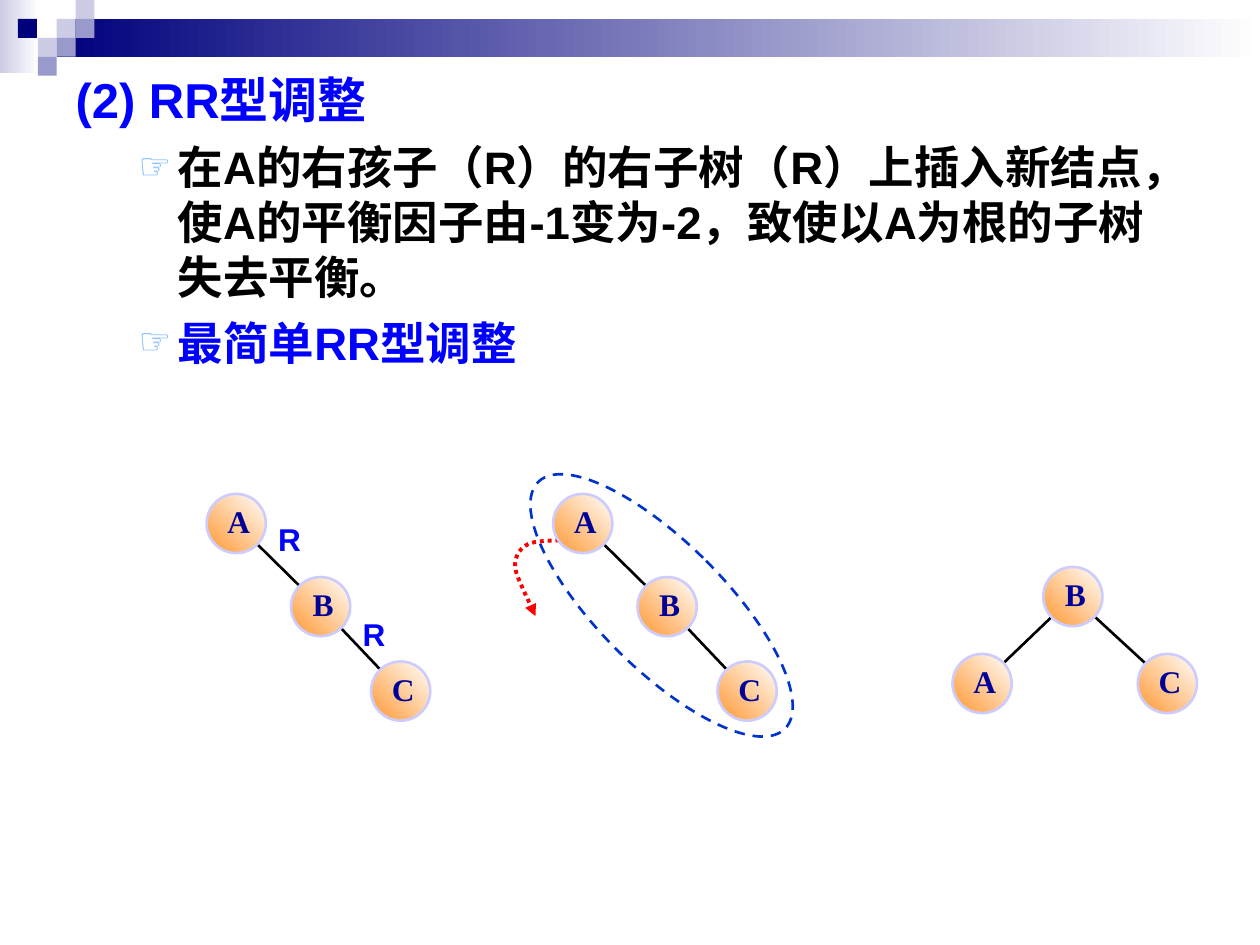
from dataclasses import dataclass
from math import hypot
from lxml.etree import SubElement as Sub
from pptx import Presentation
from pptx.dml.color import RGBColor as Rgb
from pptx.enum.dml import MSO_LINE as Dash
from pptx.enum.shapes import MSO_CONNECTOR as Link, MSO_SHAPE as Kind
from pptx.enum.text import MSO_ANCHOR as Anchor, MSO_AUTO_SIZE as Fit, PP_ALIGN as Align
from pptx.oxml.ns import qn
from pptx.util import Emu, Inches, Pt

WIDE, HIGH = Inches(10), Inches(7.5)
COLS = 100
NODE = 4.7
TILE = 1.5

NAVY = Rgb(0x00, 0x00, 0x7D)
MIST = Rgb(0xCC, 0xCC, 0xE6)
LILAC = Rgb(0x99, 0x99, 0xCC)
WHITE = Rgb(0xFF, 0xFF, 0xFF)
BLACK = Rgb(0x00, 0x00, 0x00)
BLUE = Rgb(0x00, 0x00, 0xFF)
INK = Rgb(0x00, 0x00, 0x99)
RIM = Rgb(0xCC, 0xCC, 0xFF)
PEACH = Rgb(0xFF, 0x99, 0x33)
RING = Rgb(0x00, 0x33, 0xCC)
RED = Rgb(0xFF, 0x00, 0x00)
SKY = "67AFFF"


@dataclass(frozen=True)
class Node:
    name: str
    col: float
    row: float


@dataclass(frozen=True)
class Tree:
    nodes: tuple[Node, ...]
    edges: tuple[tuple[int, int], ...]


@dataclass(frozen=True)
class Line:
    text: str
    size: int
    color: Rgb
    point: bool = True


def cell(count: float) -> Emu:
    return Emu(round(WIDE * count / COLS))


def write(para, text: str, font: str, size: int, color: Rgb) -> None:
    run = para.add_run()
    run.text = text
    run.font.name = font
    run.font.size = Pt(size)
    run.font.bold = True
    run.font.color.rgb = color


def draw(shapes, kind, col: float, row: float, wide: float, high: float):
    shape = shapes.add_shape(kind, cell(col), cell(row), cell(wide), cell(high))
    shape.shadow.inherit = False
    shape.line.fill.background()
    return shape


def blend(shape, start: Rgb, angle: int) -> None:
    shape.fill.gradient()
    shape.fill.gradient_angle = angle
    for stop, color in zip(shape.fill.gradient_stops, (start, WHITE)):
        stop.color.rgb = color


def stroke(line, color: Rgb, width: float) -> None:
    line.color.rgb = color
    line.width = Pt(width)


def add_band(shapes) -> None:
    blend(draw(shapes, Kind.RECTANGLE, 0, 0, 3.1, 5.8), MIST, 0)
    blend(draw(shapes, Kind.RECTANGLE, 3 * TILE, TILE, 95.5, 2 * TILE), NAVY, 0)
    tiles = ((3, 1, MIST), (4, 0, MIST), (4, 1, LILAC), (2, 2, MIST),
             (0.95, 1, NAVY), (3, 2, LILAC), (2, 3, LILAC))
    for col, row, color in tiles:
        tile = draw(shapes, Kind.RECTANGLE, col * TILE, row * TILE, TILE, TILE)
        tile.fill.solid()
        tile.fill.fore_color.rgb = color


def mark(para, point: bool) -> None:
    props = para._p.get_or_add_pPr()
    props.set("marL", str(Inches(0.81 if point else 0.38)))
    props.set("indent", str(Inches(-0.31 if point else -0.38)))
    if point:
        Sub(Sub(props, qn("a:buClr")), qn("a:srgbClr"), val=SKY)
        Sub(props, qn("a:buSzPct"), val="80000")
        Sub(props, qn("a:buChar"), char="☞")
    else:
        Sub(props, qn("a:buNone"))


def fill_body(body, lines: tuple[Line, ...]) -> None:
    body.left, body.top, body.width, body.height = map(cell, (5, 5, 90, 70))
    frame = body.text_frame
    frame.auto_size = Fit.NONE
    for spot, line in enumerate(lines):
        para = frame.add_paragraph() if spot else frame.paragraphs[0]
        para.level = int(line.point)
        mark(para, line.point)
        para.space_before = Pt(6.5 if spot else 0)
        write(para, line.text, "Arial", line.size, line.color)


def add_node(shapes, node: Node) -> None:
    ball = draw(shapes, Kind.OVAL, node.col - NODE / 2, node.row - NODE / 2, NODE, NODE)
    blend(ball, PEACH, 45)
    stroke(ball.line, RIM, 1.5)
    frame = ball.text_frame
    frame.word_wrap = False
    frame.vertical_anchor = Anchor.MIDDLE
    frame.margin_left, frame.margin_right = cell(1.4), cell(1)
    frame.margin_top, frame.margin_bottom = cell(0.1), cell(0.5)
    para = frame.paragraphs[0]
    para.alignment = Align.CENTER
    write(para, node.name, "Times New Roman", 18, INK)


def add_edge(shapes, start: Node, end: Node) -> None:
    run, drop = end.col - start.col, end.row - start.row
    part = NODE / 2 / hypot(run, drop)
    ends = (start.col + run * part, start.row + drop * part,
            end.col - run * part, end.row - drop * part)
    edge = shapes.add_connector(Link.STRAIGHT, *map(cell, ends))
    stroke(edge.line, BLACK, 1.5)
    Sub(edge._element.spPr, qn("a:effectLst"))


def add_tree(shapes, tree: Tree) -> None:
    for start, end in tree.edges:
        add_edge(shapes, tree.nodes[start], tree.nodes[end])
    for node in tree.nodes:
        add_node(shapes, node)


def chain(col: float, row: float) -> Tree:
    nodes = (Node("A", col, row), Node("B", col + 6.7, row + 6.6),
             Node("C", col + 13.05, row + 13.3))
    return Tree(nodes, ((0, 1), (1, 2)))


def add_label(shapes, text: str, col: float, row: float) -> None:
    box = shapes.add_textbox(cell(col), cell(row), cell(3.8), cell(4))
    box.text_frame.word_wrap = False
    box.text_frame.auto_size = Fit.SHAPE_TO_FIT_TEXT
    write(box.text_frame.paragraphs[0], text, "Arial", 18, BLUE)


def add_ring(shapes) -> None:
    ring = draw(shapes, Kind.OVAL, 47.5, 34.2, 10, 27.7)
    ring.rotation = 135
    ring.fill.background()
    stroke(ring.line, RING, 1.5)
    ring.line.dash_style = Dash.DASH


def bend(knots: tuple, steps: int = 8) -> list[tuple[Emu, Emu]]:
    dots = []
    for first in range(0, len(knots) - 1, 3):
        for step in range(1, steps + 1):
            t = step / steps
            shares = ((1 - t) ** 3, 3 * t * (1 - t) ** 2, 3 * t * t * (1 - t), t ** 3)
            four = zip(*knots[first:first + 4])
            dots.append(tuple(cell(sum(s * k for s, k in zip(shares, axis)))
                              for axis in four))
    return dots


def add_turn(shapes) -> None:
    knots = ((44.4, 42.9), (44, 42.9), (42.4, 42.9), (41.9, 43.2), (41.3, 43.5),
             (41, 44), (40.9, 44.6), (40.8, 45.2), (41.1, 45.8), (41.4, 46.5),
             (41.7, 47.2), (42.3, 48.4), (42.5, 48.9))
    path = shapes.build_freeform(*map(cell, knots[0]))
    path.add_line_segments(bend(knots), close=False)
    turn = path.convert_to_shape()
    turn.shadow.inherit = False
    turn.fill.background()
    stroke(turn.line, RED, 2.25)
    turn.line.dash_style = Dash.ROUND_DOT
    Sub(turn.line._get_or_add_ln(), qn("a:tailEnd"), type="triangle")


def main() -> None:
    deck = Presentation()
    deck.slide_width, deck.slide_height = WIDE, HIGH
    slide = deck.slides.add_slide(deck.slide_layouts[1])
    shapes = slide.shapes
    title = shapes.title._element
    title.getparent().remove(title)
    add_band(shapes)
    fill_body(slide.placeholders[1], (
        Line("(2) RR型调整", 28, BLUE, False),
        Line("在A的右孩子（R）的右子树（R）上插入新结点，使A的平衡因子由-1变为-2，"
             "致使以A为根的子树失去平衡。", 26, BLACK),
        Line("最简单RR型调整", 26, BLUE)))
    fork = Tree((Node("B", 85.15, 47.35), Node("A", 77.95, 54.25),
                 Node("C", 92.65, 54.25)), ((0, 1), (0, 2)))
    add_tree(shapes, chain(18.75, 41.55))
    add_tree(shapes, fork)
    add_ring(shapes)
    add_turn(shapes)
    for col, row in ((21.1, 40.8), (27.8, 48.3)):
        add_label(shapes, "R", col, row)
    add_tree(shapes, chain(46.25, 41.55))
    deck.save("out.pptx")


if __name__ == "__main__":
    main()
